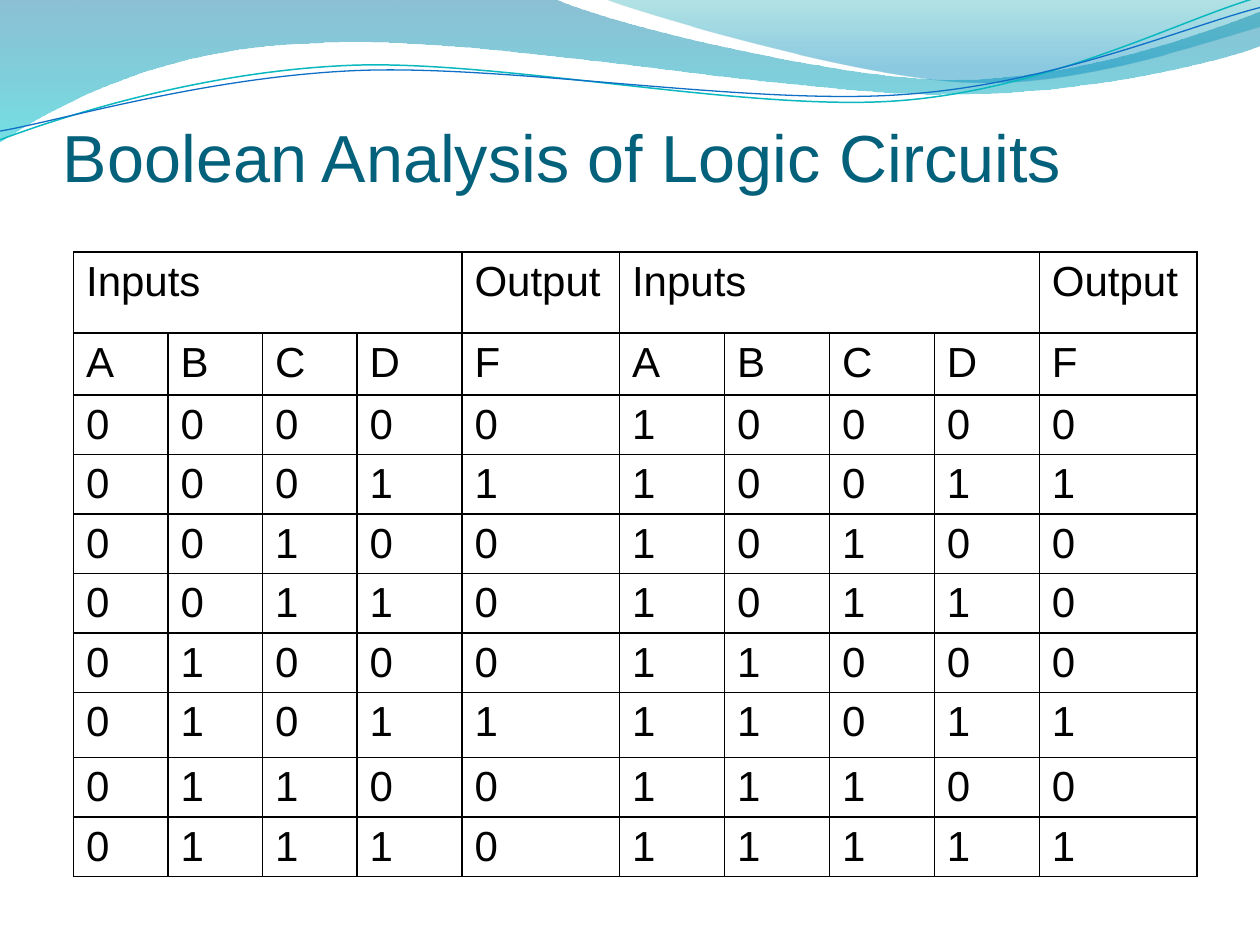
import itertools

import lxml.etree
import pptx
import pptx.dml.color
import pptx.enum.text
import pptx.oxml.ns
import pptx.util

Pt = pptx.util.Pt
qn = pptx.oxml.ns.qn
FONT = "Arial"

LARGE_WAVE = [
    (0, 0), (316.8, -0.7),
    (342.7, 12.2, 478.1, 45.4, 545.8, 45.4),
    (614.2, 45.4, 689.8, 18.7, 720, 6.5), (720.7, 25.9),
    (707.8, 31.7, 626.4, 54.7, 537.1, 54),
    (447.8, 54, 275, 20.2, 185, 24.5),
    (92.9, 25.9, 33.1, 59.8, -0.7, 81.4),
]
SMALL_WAVE = [
    (344.9, -0.7),
    (366.5, 7.9, 491, 44.6, 553.7, 46.8),
    (616.3, 49.7, 691.9, 23, 720, 15.1), (720, 0),
]
TEAL_LINE = [
    (0, 79.9),
    (34.6, 67, 113.8, 41, 199.4, 37.4),
    (284.4, 33.8, 427, 64.1, 513.4, 57.6),
    (599.8, 51.1, 675.4, 10.8, 718.6, -1.4),
]
BLUE_LINE = [
    (0, 74.9),
    (33.8, 69.1, 118.1, 43.9, 203.8, 40.3),
    (290.2, 36.7, 429.8, 60.5, 516.2, 54),
    (601.9, 48.2, 677.5, 15.1, 720, 4.3),
]


def set_color(color_format, value):
    color_format.rgb = pptx.dml.color.RGBColor.from_string(value)


def write_text(text_frame, text, size, color, alignment=None):
    paragraph = text_frame.paragraphs[0]
    paragraph.alignment = alignment
    run = paragraph.add_run()
    run.text = text
    run.font.name = FONT
    run.font.size = Pt(size)
    set_color(run.font.color, color)


def add_outline(slide, segments, left, top, closed):
    ends = [(Pt(left + segment[-2]), Pt(top + segment[-1])) for segment in segments]
    builder = slide.shapes.build_freeform(*ends[0])
    builder.add_line_segments(ends[1:], close=closed)
    shape = builder.convert_to_shape()
    shape.shadow.inherit = False
    straight_parts = list(shape.element.iter(qn("a:lnTo")))
    for part, segment in zip(straight_parts, segments[1:]):
        if len(segment) == 2:
            continue
        curve = lxml.etree.Element(qn("a:cubicBezTo"))
        for x, y in zip(segment[::2], segment[1::2]):
            lxml.etree.SubElement(curve, qn("a:pt"), x=str(Pt(left + x) - shape.left),
                                  y=str(Pt(top + y) - shape.top))
        part.getparent().replace(part, curve)
    return shape


def add_wave(slide, segments, left, top, stops):
    shape = add_outline(slide, segments, left, top, True)
    shape.line.fill.background()
    shape.fill.gradient()
    shape.fill.gradient_angle = 270
    for stop, (position, color, opacity) in zip(shape.fill.gradient_stops, stops):
        stop.position = position
        set_color(stop.color, color)
    colors = list(shape.element.spPr.iter(qn("a:srgbClr")))
    for element, (_, _, opacity) in zip(colors, stops):
        lxml.etree.SubElement(element, qn("a:alpha"), val=str(opacity * 1000))


def add_curve(slide, segments, left, top, color, width):
    shape = add_outline(slide, segments, left, top, False)
    shape.fill.background()
    set_color(shape.line.color, color)
    shape.line.width = Pt(width)


def add_header_waves(slide, left, top):
    add_wave(slide, LARGE_WAVE, left, top, [(0, "0074A1", 45), (1, "00C6CF", 55)])
    add_wave(slide, SMALL_WAVE, left, top, [(0, "00A1A9", 30), (0.8, "008BBF", 45)])
    add_curve(slide, TEAL_LINE, left, top, "0AB8BF", 0.85)
    add_curve(slide, BLUE_LINE, left, top, "0F6FC6", 0.75)


def add_title(slide, left, top, width, height):
    box = slide.shapes.add_textbox(Pt(left), Pt(top), Pt(width), Pt(height))
    frame = box.text_frame
    frame.word_wrap = True
    frame.vertical_anchor = pptx.enum.text.MSO_ANCHOR.BOTTOM
    frame.margin_left = frame.margin_right = frame.margin_bottom = 0
    frame.margin_top = Pt(3.6)
    write_text(frame, "Boolean Analysis of Logic Circuits", 38, "04617B")


def set_borders(cell, color, width):
    properties = cell._tc.get_or_add_tcPr()
    for index, side in enumerate(("lnL", "lnR", "lnT", "lnB")):
        line = lxml.etree.Element(qn("a:" + side), w=str(Pt(width)))
        fill = lxml.etree.SubElement(line, qn("a:solidFill"))
        lxml.etree.SubElement(fill, qn("a:srgbClr"), val=color)
        properties.insert(index, line)


def truth_rows():
    states = [
        [a, b, c, d, int(d and (not c or (a and b)))]
        for a, b, c, d in itertools.product((0, 1), repeat=4)
    ]
    return [low + high for low, high in zip(states[:8], states[8:])]


def add_truth_table(slide, left, top, width, height):
    headings = ["Inputs", "", "", "", "Output"] * 2
    rows = [headings, list("ABCDF") * 2] + truth_rows()
    column_widths = [54, 54, 54, 60, 90, 60, 60, 60, 60, 90]
    row_heights = [46.3, 35.5] + [34] * 5 + [37.2] + [34] * 2
    table = slide.shapes.add_table(
        len(rows), len(column_widths), Pt(left), Pt(top), Pt(width), Pt(height)).table
    for column, column_width in zip(table.columns, column_widths):
        column.width = Pt(column_width)
    for row, row_height in zip(table.rows, row_heights):
        row.height = Pt(row_height)
    for start in (0, 5):
        table.cell(0, start).merge(table.cell(0, start + 3))
    for row_index, values in enumerate(rows):
        for column_index, value in enumerate(values):
            cell = table.cell(row_index, column_index)
            cell.fill.background()
            cell.margin_bottom = Pt(1)
            set_borders(cell, "000000", 1)
            if not cell.is_spanned:
                write_text(cell.text_frame, str(value), 24, "000000",
                           pptx.enum.text.PP_ALIGN.JUSTIFY)


def main():
    presentation = pptx.Presentation()
    presentation.slide_width = Pt(720)
    presentation.slide_height = Pt(540)
    slide = presentation.slides.add_slide(presentation.slide_layouts[6])
    add_header_waves(slide, 0, 0)
    add_title(slide, 36, 21.6, 648, 90)
    add_truth_table(slide, 42, 144, 642, 357)
    presentation.save("out.pptx")


if __name__ == "__main__":
    main()
